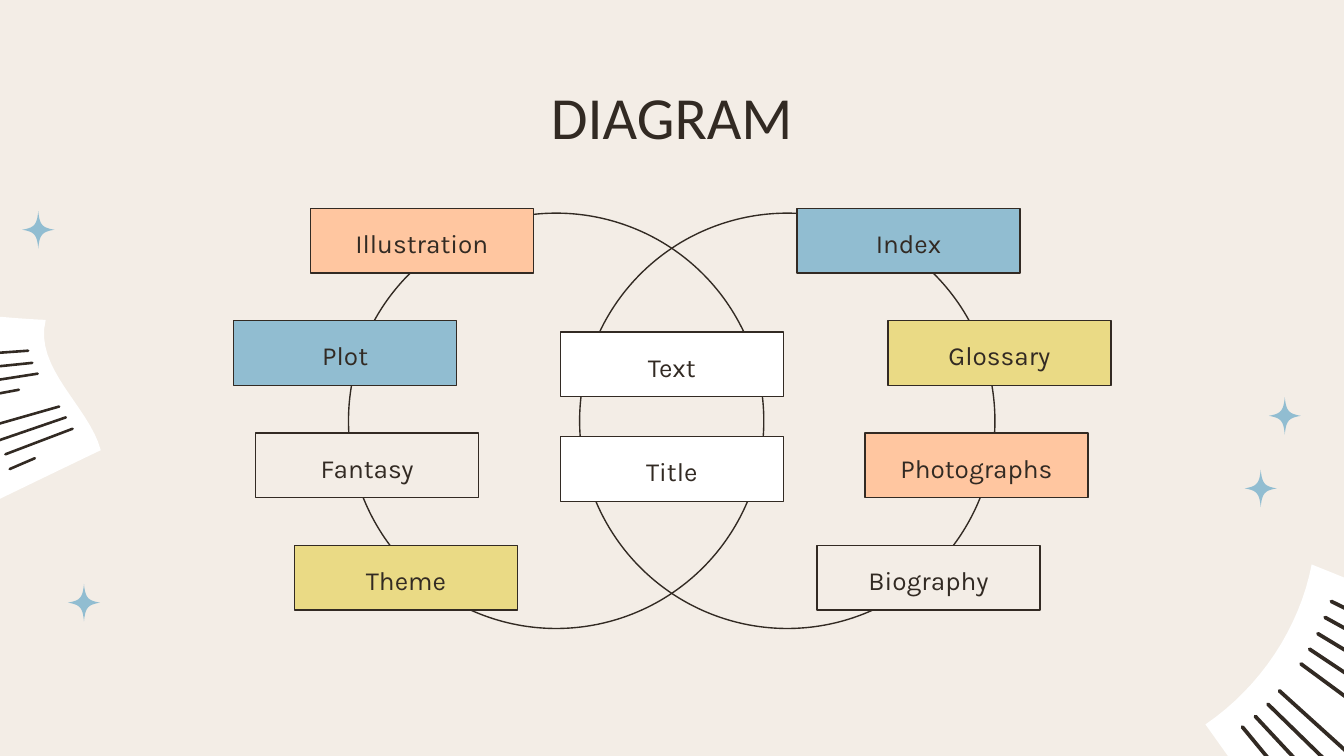
from lxml import etree
from pptx import Presentation
from pptx import util as u
from pptx.dml.color import RGBColor
from pptx.enum import shapes, text
from pptx.oxml import ns

COLORS = {
    "sand": "F3EDE6",
    "ink": "322A23",
    "white": "FFFFFF",
    "blue": "91BDD1",
    "yellow": "EADA85",
    "peach": "FFC6A0",
}

FRAME_FORMAT = {
    "word_wrap": True,
    "margin_left": u.Pt(7.2),
    "margin_right": u.Pt(7.2),
    "margin_top": u.Pt(7.2),
    "margin_bottom": u.Pt(7.2),
}
TITLE_FONT = {"name": "Calibri", "size": u.Pt(32)}
LABEL_FONT = {"name": "Karla", "size": u.Pt(14)}

LABEL_WIDTH, LABEL_HEIGHT = 119.5, 34.7
FIRST_ROW, ROW_STEP = 111.6, 60.2
ROWS = [
    (("Illustration", 166.3, "peach"), ("Index", 427, "blue")),
    (("Plot", 125.2, "blue"), ("Glossary", 475.7, "yellow")),
    (("Fantasy", 136.9, "sand"), ("Photographs", 463.4, "peach")),
    (("Theme", 157.8, "yellow"), ("Biography", 437.7, "sand")),
]
SHARED = [("Text", 177.9), ("Title", 233.9)]
SHARED_LEFT = 300.2

RINGS = [186.7, 310.5]
RING_TOP, RING_SIZE = 114.2, 222.5

STARS = [(688.3, 222.8), (675.4, 261.7), (20.5, 123.1), (45, 322.9)]

LEFT_PAGE = [
    [(54, 241.2)],
    [(36, 249.8), (16.6, 259.2), (-4.3, 269.3)],
    [(6.5, 231.8), (-56.9, 208.8), (-28.1, 167)],
    [(-12.2, 168.5), (5.8, 170.6), (24.5, 171.4)],
    [(18, 197.3), (47.5, 217.4), (54, 241.2)],
]
LEFT_WRITING = [
    (-25.9, 190.8, 15.1, 187.9),
    (-24.5, 198.7, 17.3, 194.4),
    (-20.9, 206.6, 20.2, 200.2),
    (-16.6, 213.8, 10.1, 208.8),
    (-6.1, 228.6, 31.7, 217.8),
    (-1.4, 236.2, 35.3, 223.6),
    (2.9, 243.4, 38.9, 229.7),
    (5.2, 251.3, 18.7, 245.5),
]
RIGHT_PAGE = [
    [(693.4, 455)],
    [(645.8, 388.1)],
    [(675.4, 367.9), (696.2, 336.2), (702.7, 302.4)],
    [(795.6, 339.8)],
    [(778.3, 389.5), (740.9, 431.3), (693.4, 455)],
]
RIGHT_WRITING = [
    (713.2, 322.2, 751, 340.9),
    (709.9, 330.8, 768.6, 363.2),
    (706, 339.5, 762.5, 373.7),
    (701.6, 347.8, 755.6, 383.8),
    (697, 355.7, 731.2, 380.9),
    (685.4, 370.1, 731.5, 411.8),
    (679.3, 377.3, 722.9, 419.8),
    (672.5, 383.8, 713.5, 427.7),
    (665.6, 389.5, 679.3, 406.1),
]


def rgb(color):
    return RGBColor.from_string(COLORS[color])


def apply_format(target, values):
    for attribute, value in values.items():
        setattr(target, attribute, value)


def paint(part, color):
    part.shadow.inherit = False
    part.fill.solid()
    part.fill.fore_color.rgb = rgb(color)


def outline(line, width):
    line.color.rgb = rgb("ink")
    line.width = u.Pt(width)


def write(frame, words, font, anchor, spacing):
    apply_format(frame, FRAME_FORMAT)
    frame.vertical_anchor = anchor
    paragraph = frame.paragraphs[0]
    paragraph.text = words
    paragraph.alignment = text.PP_ALIGN.CENTER
    paragraph.line_spacing = spacing
    apply_format(paragraph.runs[0].font, font)
    paragraph.runs[0].font.color.rgb = rgb("ink")


def curve(start, bend_out, bend_in, end, steps=16):
    points = []
    for step in range(1, steps + 1):
        t = step / steps
        weights = ((1 - t) ** 3, 3 * t * (1 - t) ** 2, 3 * t * t * (1 - t), t ** 3)
        corners = (start, bend_out, bend_in, end)
        points.append(tuple(
            sum(w * corner[axis] for w, corner in zip(weights, corners))
            for axis in (0, 1)
        ))
    return points


def add_curved(slide, segments, color):
    points = list(segments[0])
    for segment in segments[1:]:
        points += curve(points[-1], *segment) if len(segment) == 3 else segment
    edge = [(u.Pt(x), u.Pt(y)) for x, y in points]
    builder = slide.shapes.build_freeform(*edge[0])
    builder.add_line_segments(edge[1:], close=True)
    figure = builder.convert_to_shape()
    paint(figure, color)
    figure.line.fill.background()


def add_star(slide, x, y):
    quarter = [(8.6, 0), (2.2, 1.1), (0.7, 2.5), (0, 10)]
    segments = [[(x + 8.6, y)]]
    for flip_x, flip_y in ((1, 1), (-1, 1), (-1, -1), (1, -1)):
        order = quarter if flip_x == flip_y else quarter[::-1]
        segments.append([(x + flip_x * dx, y + flip_y * dy) for dx, dy in order[1:]])
    add_curved(slide, segments, "blue")


def add_stroke(slide, ends, width):
    stroke = slide.shapes.add_connector(
        shapes.MSO_CONNECTOR.STRAIGHT, *[u.Pt(value) for value in ends])
    outline(stroke.line, width)
    properties = stroke._element.spPr
    properties.find(ns.qn("a:ln")).set("cap", "rnd")
    etree.SubElement(properties, ns.qn("a:effectLst"))


def add_page(slide, edge, writing, width):
    add_curved(slide, edge, "white")
    for ends in writing:
        add_stroke(slide, ends, width)


def add_ring(slide, left):
    ring = slide.shapes.add_shape(
        shapes.MSO_SHAPE.OVAL, u.Pt(left), u.Pt(RING_TOP), u.Pt(RING_SIZE), u.Pt(RING_SIZE))
    ring.shadow.inherit = False
    ring.fill.background()
    outline(ring.line, 0.75)


def add_title(slide, words):
    title = slide.shapes.add_textbox(u.Pt(56.7), u.Pt(35.3), u.Pt(606.6), u.Pt(51.1))
    write(title.text_frame, words, TITLE_FONT, text.MSO_ANCHOR.TOP, 1.0)


def add_label(slide, words, left, top, color):
    label = slide.shapes.add_shape(
        shapes.MSO_SHAPE.RECTANGLE, u.Pt(left), u.Pt(top), u.Pt(LABEL_WIDTH), u.Pt(LABEL_HEIGHT))
    paint(label, color)
    outline(label.line, 0.75)
    write(label.text_frame, words, LABEL_FONT, text.MSO_ANCHOR.MIDDLE, 1.15)


def main():
    deck = Presentation()
    apply_format(deck, {"slide_width": u.Pt(720), "slide_height": u.Pt(405)})
    slide = deck.slides.add_slide(deck.slide_layouts[6])
    slide.background.fill.solid()
    slide.background.fill.fore_color.rgb = rgb("sand")

    add_page(slide, LEFT_PAGE, LEFT_WRITING, 1.4)
    add_page(slide, RIGHT_PAGE, RIGHT_WRITING, 2)
    for x, y in STARS:
        add_star(slide, x, y)
    for left in RINGS:
        add_ring(slide, left)
    add_title(slide, "DIAGRAM")
    for row, labels in enumerate(ROWS):
        for words, left, color in labels:
            add_label(slide, words, left, FIRST_ROW + row * ROW_STEP, color)
    for words, top in SHARED:
        add_label(slide, words, SHARED_LEFT, top, "white")
    deck.save("out.pptx")


if __name__ == "__main__":
    main()
